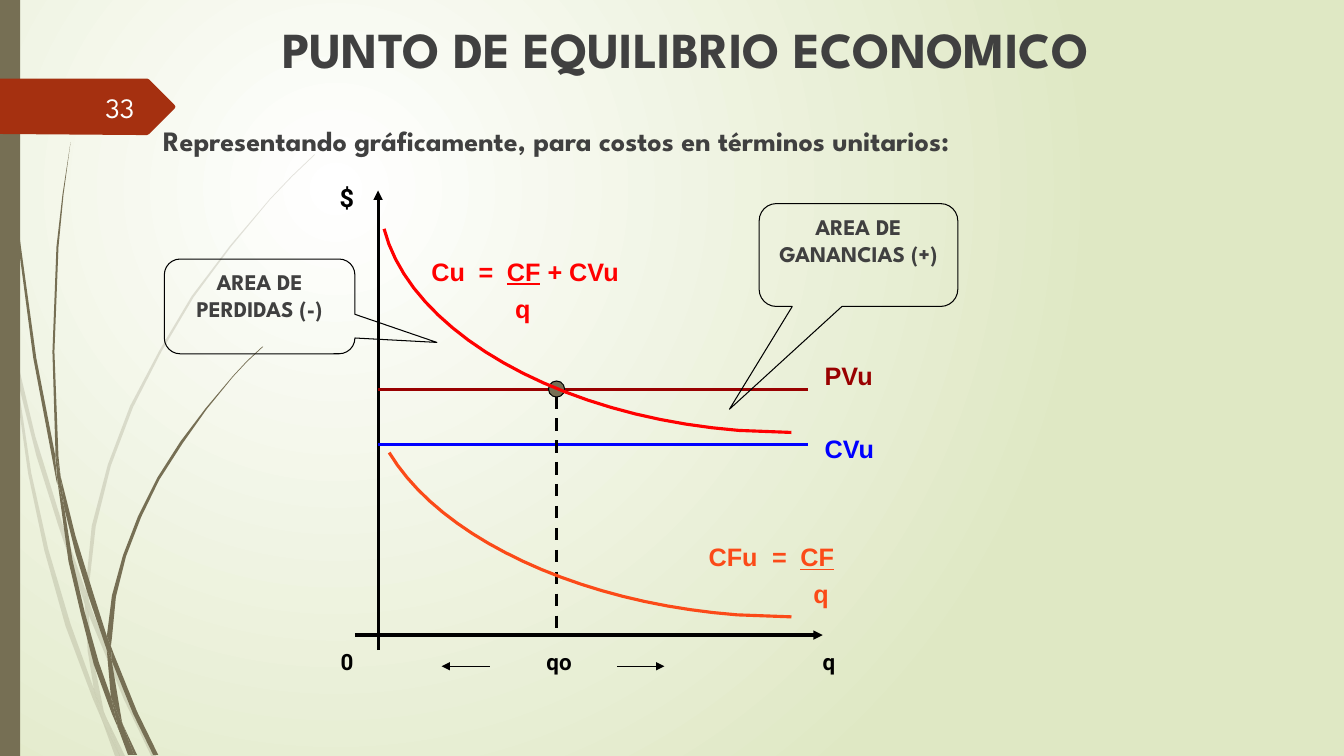
from lxml import etree
from pptx import Presentation, util as u
from pptx.dml import color
from pptx.enum import dml, shapes, text
from pptx.oxml import ns

INK, GREY, OLIVE, RED = "000000", "404040", "766F54", "FF0000"
BLUE, MAROON, CORAL, RUST = "0000FF", "990000", "FB4A18", "A53010"
HEAD, BODY, PLAIN = "League Spartan", "Roboto", "Arial"

# Outlines of the decorative grass, in inches
PALE = [
    [(.11, 3.5), (.09, 3.22), (0, 2.82), (0, 2.99), (.1, 3.44)],
    [(.58, 5.22), (.84, 5.99), (.85, 5.86), (.62, 5.2), (.35, 4.33), (.14, 3.45),
     (.17, 3.76), (.36, 4.52)],
    [(.92, 6.07), (.88, 5.96), (.88, 6.1), (1.23, 6.94), (1.5, 7.5), (1.55, 7.5), (1.27, 6.92)],
    [(1.19, 7.5), (1.24, 7.5), (1.05, 7.11)],
    [(.93, 6.83), (.7, 6.19), (.48, 5.45), (.31, 4.69), (.17, 3.76), (.11, 3.5), (.28, 4.7),
     (.44, 5.46), (.65, 6.21), (.92, 6.93), (1.01, 7.14), (.99, 7.07)],
    [(.84, 5.99), (.87, 6.46), (.93, 6.83), (.96, 6.92), (1.05, 7.11), (1.03, 7.06),
     (.91, 6.46), (.88, 6.1), (.88, 6.08)],
    [(.88, 5.84), (.95, 5.22), (1.1, 4.62), (1.32, 4.04), (1.6, 3.49), (1.92, 2.95),
     (2.29, 2.45), (2.68, 1.98), (2.9, 1.75), (3.12, 1.54), (3.12, 1.53), (2.89, 1.75),
     (2.68, 1.97), (2.28, 2.44), (1.9, 2.94), (1.58, 3.48), (1.29, 4.03), (1.07, 4.61),
     (.91, 5.22), (.85, 5.84), (.85, 5.86), (.88, 5.96)],
    [(1.01, 7.14), (1.14, 7.5), (1.19, 7.5)],
    [(.88, 6.08), (.88, 6.1), (.88, 5.96), (.85, 5.86), (.84, 5.99)],
    [(.96, 6.92), (.93, 6.83), (.99, 7.07), (1.01, 7.14), (1.19, 7.5), (1.05, 7.11)],
]
DARK = [
    [(.07, 1.1), (.17, 2.33), (.33, 3.55), (.56, 4.77), (.57, 4.81), (.55, 4.57), (.55, 4.53),
     (.36, 3.55), (.19, 2.32), (.08, 1.09), (.05, .48), (.04, 0), (.03, 0), (.04, .48)],
    [(.88, 5.92), (1.06, 6.45), (1.06, 6.31), (.93, 5.9), (.75, 5.32), (.6, 4.72),
     (.64, 5.05), (.75, 5.49)],
    [(1.13, 6.49), (1.1, 6.41), (1.11, 6.56), (1.32, 7.08), (1.52, 7.49), (1.57, 7.49),
     (1.36, 7.06)],
    [(1.1, 6.91), (.98, 6.57), (.84, 6.07), (.72, 5.56), (.64, 5.05), (.57, 4.77), (.68, 5.57),
     (.8, 6.08), (.93, 6.59), (1.11, 7.08), (1.17, 7.22), (1.16, 7.17)],
    [(.6, 4.72), (.58, 4.53), (.54, 3.49), (.58, 2.45), (.63, 1.93), (.7, 1.41), (.62, 1.93),
     (.56, 2.45), (.52, 3.49), (.55, 4.49)],
    [(1.33, 7.49), (1.36, 7.49), (1.22, 7.19)],
    [(.57, 4.77), (.64, 5.05), (.6, 4.72), (.55, 4.49), (.55, 4.53)],
    [(1.11, 6.33), (1.15, 5.92), (1.25, 5.52), (1.4, 5.13), (1.58, 4.76), (1.81, 4.4),
     (2.05, 4.06), (2.31, 3.74), (2.45, 3.59), (2.61, 3.44), (2.6, 3.44), (2.45, 3.58),
     (2.31, 3.73), (2.04, 4.05), (1.79, 4.38), (1.56, 4.74), (1.37, 5.12), (1.22, 5.51),
     (1.11, 5.91), (1.06, 6.31), (1.1, 6.41)],
    [(1.17, 7.22), (1.27, 7.49), (1.31, 7.49)],
    [(1.06, 6.45), (1.1, 6.91), (1.16, 7.06), (1.22, 7.19), (1.21, 7.16), (1.11, 6.56),
     (1.09, 6.51)],
    [(1.06, 6.45), (1.09, 6.51), (1.11, 6.56), (1.1, 6.41), (1.06, 6.31)],
    [(1.16, 7.06), (1.1, 6.91), (1.16, 7.17), (1.17, 7.22), (1.3, 7.49), (1.33, 7.49),
     (1.22, 7.19)],
]
TAG = [(1.73, 1.08), (1.48, 1.33), (1.46, 1.34), (1.36, 1.34), (0, 1.33), (0, .78),
       (1.46, .78), (1.48, .79), (1.73, 1.04), (1.74, 1.06)]


def rgb(hue):
    return color.RGBColor.from_string(hue)


def add(node, tag, **attrs):
    return etree.SubElement(node, ns.qn(tag), attrs)


def bend(a, b, c, d, steps=20):
    """Points along a cubic Bezier curve."""
    for i in range(steps + 1):
        t = i / steps
        s = 1 - t
        yield tuple(s**3 * p + 3 * s * s * t * q + 3 * s * t * t * r + t**3 * e
                    for p, q, r, e in zip(a, b, c, d))


class Deck:
    def __init__(self, slide):
        self.slide = slide
        self.all = slide.shapes

    def back(self, inner, outer):
        """Radial background, centred a quarter of the way in."""
        fill = self.slide.background.fill
        fill.gradient()
        for stop, hue in zip(fill.gradient_stops, (inner, outer)):
            stop.color.rgb = rgb(hue)
        lin = self.slide.element.xpath(".//a:gradFill/a:lin")[0]
        ring = etree.Element(ns.qn("a:path"), {"path": "circle"})
        add(ring, "a:fillToRect", l="50000", t="50000", r="100000", b="100000")
        lin.getparent().replace(lin, ring)

    def paint(self, shape, fill=None, line=None, width=.75):
        shape.shadow.inherit = False
        if fill:
            shape.fill.solid()
            shape.fill.fore_color.rgb = rgb(fill)
        else:
            shape.fill.background()
        if line:
            shape.line.color.rgb = rgb(line)
            shape.line.width = u.Pt(width)
        else:
            shape.line.fill.background()
        return shape

    def free(self, points, close=True, alpha=None, **style):
        spots = [(u.Inches(x), u.Inches(y)) for x, y in points]
        pen = self.all.build_freeform(*spots[0])
        pen.add_line_segments(spots[1:], close=close)
        shape = self.paint(pen.convert_to_shape(), **style)
        if alpha:
            add(shape.element.xpath(".//a:srgbClr")[0], "a:alpha", val=str(alpha * 1000))

    def form(self, kind, x, y, w, h, **style):
        shape = self.all.add_shape(kind, *map(u.Inches, (x, y, w, h)))
        return self.paint(shape, **style)

    def line(self, x, y, x2, y2, hue=INK, width=2.25, dash=False, arrow=False):
        link = self.all.add_connector(shapes.MSO_CONNECTOR.STRAIGHT,
                                      *map(u.Inches, (x, y, x2, y2)))
        link.line.color.rgb = rgb(hue)
        link.line.width = u.Pt(width)
        if dash:
            link.line.dash_style = dml.MSO_LINE.DASH
        if arrow:
            add(link.element.xpath(".//a:ln")[0], "a:tailEnd", type="triangle")
        add(link.element.spPr, "a:effectLst")

    def font(self, run, size, face, hue, bold=True):
        run.font.size, run.font.name, run.font.bold = u.Pt(size), face, bold
        run.font.color.rgb = rgb(hue)

    def box(self, x, y, w, h, wrap=True):
        frame = self.all.add_textbox(*map(u.Inches, (x, y, w, h))).text_frame
        frame.word_wrap = wrap
        return frame

    def text(self, words, x, y, w, h, size, face, hue, align="LEFT", wrap=True, bold=True):
        frame = self.box(x, y, w, h, wrap)
        frame.text = words
        para = frame.paragraphs[0]
        para.alignment = text.PP_ALIGN[align]
        self.font(para.runs[0], size, face, hue, bold)
        return frame

    def note(self, words, x, y, w, h, tip):
        """Rounded callout whose pointer ends at tip."""
        shape = self.form(shapes.MSO_SHAPE.ROUNDED_RECTANGULAR_CALLOUT, x, y, w, h, line=INK)
        shape.adjustments[0], shape.adjustments[1] = tip
        frame = shape.text_frame
        frame.text, frame.word_wrap = words, True
        frame.vertical_anchor = text.MSO_ANCHOR.TOP
        para = frame.paragraphs[0]
        para.alignment = text.PP_ALIGN.CENTER
        self.font(para.runs[0], 16, HEAD, GREY)

    def ratio(self, name, rest, x, y, w, h, equal, under, hue):
        """Formula over q; equal and under place the sign and the divisor."""
        frame = self.box(x, y, w, h)
        top, low = frame.paragraphs[0], frame.add_paragraph()
        tabs = add(top._p.get_or_add_pPr(), "a:tabLst")
        for stop in (equal, equal + .28):
            add(tabs, "a:tab", pos=str(u.Inches(stop)), algn="l")
        low._p.get_or_add_pPr().set("marL", str(u.Inches(under)))
        low.space_before = u.Pt(5)
        for para, words in ((top, name + "\t=\t"), (top, "CF"), (top, rest), (low, "q")):
            if words:
                run = para.add_run()
                run.text = words
                run.font.underline = words == "CF"
                self.font(run, 18, PLAIN, hue)


def main():
    show = Presentation()
    show.slide_width, show.slide_height = u.Inches(13.33), u.Inches(7.5)
    deck = Deck(show.slides.add_slide(show.slide_layouts[6]))
    deck.back("FFFFFF", "DFE8C4")
    for blades, alpha in ((PALE, 20), (DARK, None)):
        for blade in blades:
            deck.free(blade, fill=OLIVE, alpha=alpha)
    deck.form(shapes.MSO_SHAPE.RECTANGLE, 0, 0, .2, 7.5, fill=OLIVE)
    deck.free(TAG, fill=RUST)

    deck.text("PUNTO DE EQUILIBRIO ECONOMICO", 2.7, .13, 9.34, .71, 36, HEAD, GREY)
    deck.text("Representando gráficamente, para costos en términos unitarios:",
              1.52, 1.18, 10.34, .47, 20, HEAD, GREY)

    deck.line(3.75, 6.45, 3.75, 1.89, arrow=True)
    deck.line(3.52, 6.3, 8.16, 6.3, arrow=True)
    for words, x in (("0", 3.28), ("q", 8.06)):
        deck.text(words, x, 6.38, .34, .37, 16, BODY, INK, wrap=False)
    for words, level, y, hue in (("CVu", 4.41, 4.25, BLUE), ("PVu", 3.86, 3.53, MAROON)):
        deck.line(3.75, level, 8.01, level, hue)
        deck.text(words, 8.08, y, .85, .4, 18, PLAIN, hue)
    deck.line(5.52, 3.93, 5.52, 6.3, dash=True)
    deck.form(shapes.MSO_SHAPE.FLOWCHART_CONNECTOR, 5.44, 3.78, .16, .16, fill=OLIVE, line=INK)
    deck.text("qo", 4.09, 6.38, 2.91, .37, 16, BODY, INK, "CENTER")
    for x, end in ((4.86, 4.38), (6.12, 6.59)):
        deck.line(x, 6.61, end, 6.61, width=.75, arrow=True)

    deck.note("AREA DE GANANCIAS (+)", 7.53, 2.02, 1.97, 1.02, (-.65, 1.5))
    deck.note("AREA DE PERDIDAS (-)", 1.63, 2.57, 1.89, .94, (.93, .38))
    for hue, a, b, c, d in (
            (RED, (3.81, 2.27), (4.07, 3.29), (5.54, 4.13), (7.33, 4.27)),
            (CORAL, (3.86, 4.49), (4.37, 5.34), (5.74, 5.98), (7.31, 6.1))):
        end = (7.85, d[1] + .02)
        deck.free([*bend(a, b, c, d), end], close=False, line=hue, width=2.25)
    deck.ratio("Cu", " + CVu", 4.18, 2.49, 3.2, .87, .47, .83, RED)
    deck.ratio("CFu", "", 6.93, 5.32, 1.7, .87, .63, 1.04, CORAL)
    deck.text("$", 3.27, 1.76, .41, .4, 18, BODY, INK)
    page = deck.text("33", .58, .86, .85, .4, 20, HEAD, "FEFFFF", "RIGHT", bold=False)
    page.vertical_anchor = text.MSO_ANCHOR.MIDDLE
    show.save("out.pptx")


if __name__ == "__main__":
    main()
